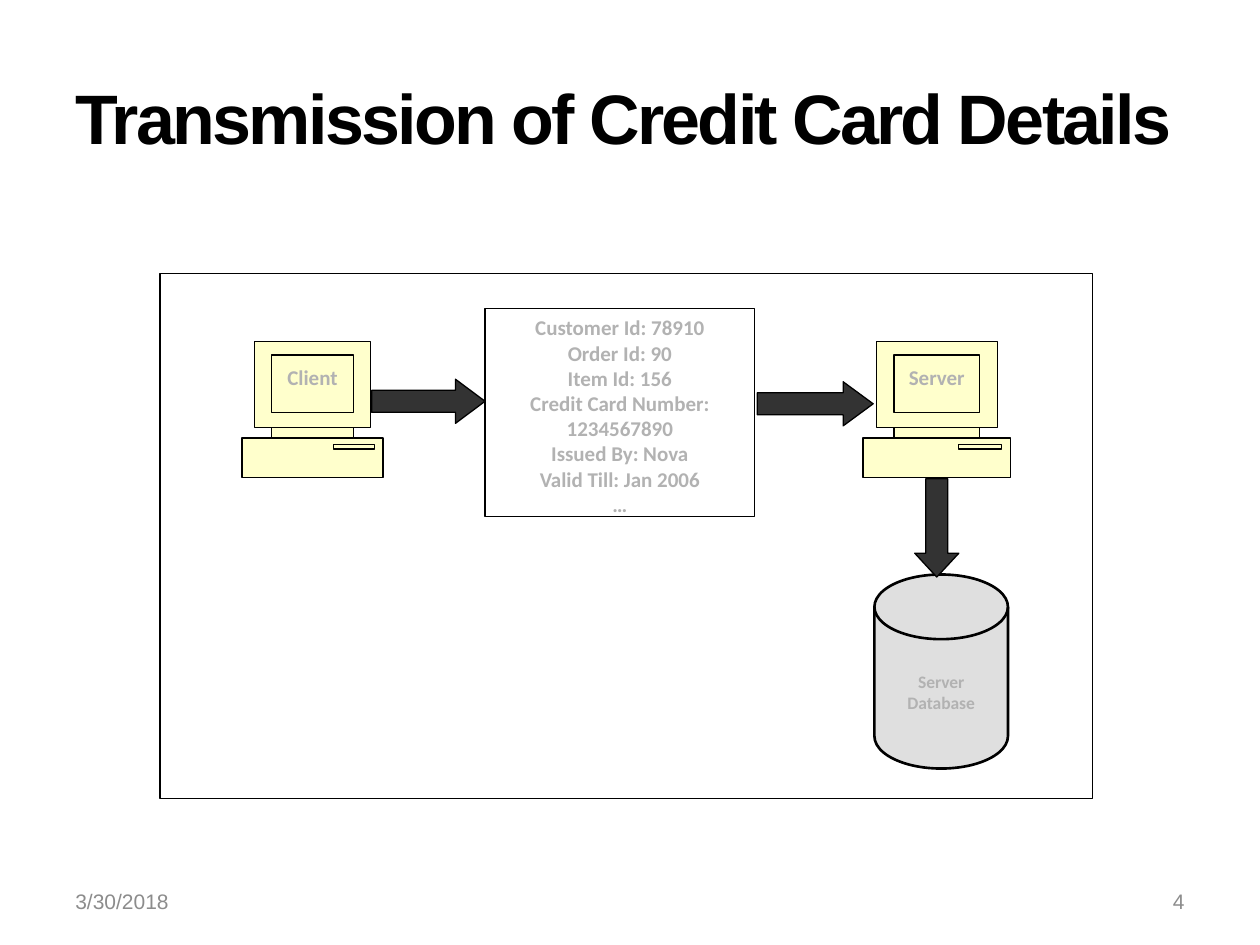
"""Builds the slide on how credit card details travel from client to server."""
import copy
import dataclasses

import pptx
import pptx.dml.color
import pptx.enum.shapes
import pptx.enum.text
import pptx.oxml
import pptx.oxml.ns
import pptx.util

SHAPE = pptx.enum.shapes.MSO_SHAPE
ALIGN = pptx.enum.text.PP_ALIGN
ANCHOR = pptx.enum.text.MSO_ANCHOR
AUTO_SIZE = pptx.enum.text.MSO_AUTO_SIZE
Pt = pptx.util.Pt


@dataclasses.dataclass(frozen=True)
class Theme:
    ink: str = "000000"
    paper: str = "FFFFFF"
    screen: str = "FFFFCC"
    arrow: str = "333333"
    disk: str = "C0C0C0"
    label: str = "B2B2B2"
    footer: str = "8C8C8C"
    head_font: str = "Arial"
    label_font: str = "Calibri"
    title_size: int = 40
    label_size: int = 12
    small_size: int = 10
    thin: float = 0.75
    thick: float = 1.5


COMPUTER = [
    [(79, 71), (79, 63), (91, 63), (91, 0), (9, 0), (9, 63), (21, 63),
     (21, 71), (0, 71), (0, 100), (100, 100), (100, 71)],
    [(21, 71), (21, 63), (79, 63), (79, 71)],
    [(21, 52), (21, 10), (79, 10), (79, 52)],
    [(65, 79), (65, 76), (94, 76), (94, 79)],
]


class Deck:
    """Holds the theme and the current slide; lengths are cells of a 100 by 75 grid."""

    def __init__(self, theme):
        self.theme = theme
        self.prs = pptx.Presentation()
        self.prs.slide_width = pptx.util.Inches(10)
        self.prs.slide_height = pptx.util.Inches(7.5)
        self.cell = self.prs.slide_width / 100
        self.s = self.prs.slides.add_slide(self.prs.slide_layouts[5])

    def grid(self, *cells):
        return [round(c * self.cell) for c in cells]

    def paint(self, sp, fill, width):
        sp.shadow.inherit = False
        sp.fill.solid()
        sp.fill.fore_color.rgb = pptx.dml.color.RGBColor.from_string(fill)
        sp.line.color.rgb = pptx.dml.color.RGBColor.from_string(self.theme.ink)
        sp.line.width = Pt(width)

    def put_text(self, sp, lines, color, align=ALIGN.CENTER, frame=None, **font):
        tf = sp.text_frame
        for key, value in {"word_wrap": True, "vertical_anchor": ANCHOR.TOP, **(frame or {})}.items():
            setattr(tf, key, value)
        style = {"name": self.theme.label_font, "size": Pt(self.theme.label_size), "bold": True, **font}
        for i, line in enumerate(lines):
            p = tf.add_paragraph() if i else tf.paragraphs[0]
            p.alignment = align
            r = p.add_run()
            r.text = line
            for key, value in style.items():
                setattr(r.font, key, value)
            r.font.color.rgb = pptx.dml.color.RGBColor.from_string(color)

    def title(self, at, text, spacing):
        sp = self.s.shapes.title
        sp.left, sp.top, sp.width, sp.height = self.grid(*at)
        self.put_text(sp, [text], self.theme.ink, ALIGN.LEFT,
                      {"vertical_anchor": ANCHOR.MIDDLE, "auto_size": AUTO_SIZE.NONE},
                      name=self.theme.head_font, size=Pt(self.theme.title_size))
        sp.text_frame.paragraphs[0].runs[0].font._element.set("spc", str(spacing))

    def footer(self, left, text, align):
        sp = self.s.shapes.add_textbox(*self.grid(left, 69.5, 23.3, 4))
        self.put_text(sp, [text], self.theme.footer, align, {"vertical_anchor": ANCHOR.MIDDLE},
                      name=self.theme.head_font, bold=False)

    def box(self, at, lines=()):
        sp = self.s.shapes.add_shape(SHAPE.RECTANGLE, *self.grid(*at))
        self.paint(sp, self.theme.paper, self.theme.thin)
        self.put_text(sp, lines, self.theme.label)

    def arrow(self, kind, at, head):
        sp = self.s.shapes.add_shape(kind, *self.grid(*at))
        sp.adjustments[0], sp.adjustments[1] = 0.5, head
        self.paint(sp, self.theme.arrow, self.theme.thin)

    def computer(self, at, name):
        x, y, w, h = self.grid(*at)
        first, *others = COMPUTER
        fb = self.s.shapes.build_freeform(*first[0], scale=(w / 100, h / 100))
        fb.add_line_segments(first[1:], close=True)
        for outline in others:
            fb.move_to(*outline[0])
            fb.add_line_segments(outline[1:], close=True)
        sp = fb.convert_to_shape(x, y)
        self.split_outlines(sp)
        self.paint(sp, self.theme.screen, self.theme.thin)
        self.put_text(sp, [name], self.theme.label, frame={"margin_top": self.grid(1.8)[0]})

    def split_outlines(self, sp):
        qn = pptx.oxml.ns.qn
        whole = sp._element.find(".//" + qn("a:path"))
        parent = whole.getparent()
        for step in list(whole):
            if step.tag == qn("a:moveTo"):
                part = copy.deepcopy(whole)
                for child in list(part):
                    part.remove(child)
                parent.append(part)
            part.append(step)
        parent.remove(whole)

    def database(self, at, name):
        sp = self.s.shapes.add_shape(SHAPE.FLOWCHART_MAGNETIC_DISK, *self.grid(*at))
        self.paint(sp, self.theme.disk, self.theme.thick)
        color = sp._element.spPr.find(".//" + pptx.oxml.ns.qn("a:srgbClr"))
        color.append(pptx.oxml.parse_xml(
            f'<a:alpha {pptx.oxml.ns.nsdecls("a")} val="50000"/>'))
        self.put_text(sp, [name], self.theme.label, frame={"margin_top": self.grid(2.5)[0]},
                      size=Pt(self.theme.small_size))


def main():
    deck = Deck(Theme())
    deck.title((5, 3, 90, 12.5), "Transmission of Credit Card Details", -150)
    deck.footer(5, "3/30/2018", ALIGN.LEFT)
    deck.footer(71.7, "4", ALIGN.RIGHT)
    deck.box((12.7, 21.7, 74, 41.7))
    deck.computer((19.2, 27.1, 11.2, 10.8), "Client")
    deck.box((38.5, 24.5, 21.4, 16.5), [
        "Customer Id: 78910", "Order Id: 90", "Item Id: 156",
        "Credit Card Number: 1234567890", "Issued By: Nova",
        "Valid Till: Jan 2006", "…"])
    deck.arrow(SHAPE.RIGHT_ARROW, (29.5, 30.1, 9, 3.5), 0.67)
    deck.computer((68.5, 27.1, 11.7, 10.8), "Server")
    deck.arrow(SHAPE.RIGHT_ARROW, (60.1, 30.3, 9.2, 3.5), 0.68)
    deck.database((69.4, 45.6, 10.6, 15.4), "Server Database")
    deck.arrow(SHAPE.DOWN_ARROW, (72.6, 38, 3.5, 7.8), 0.54)
    deck.prs.save("out.pptx")


if __name__ == "__main__":
    main()
